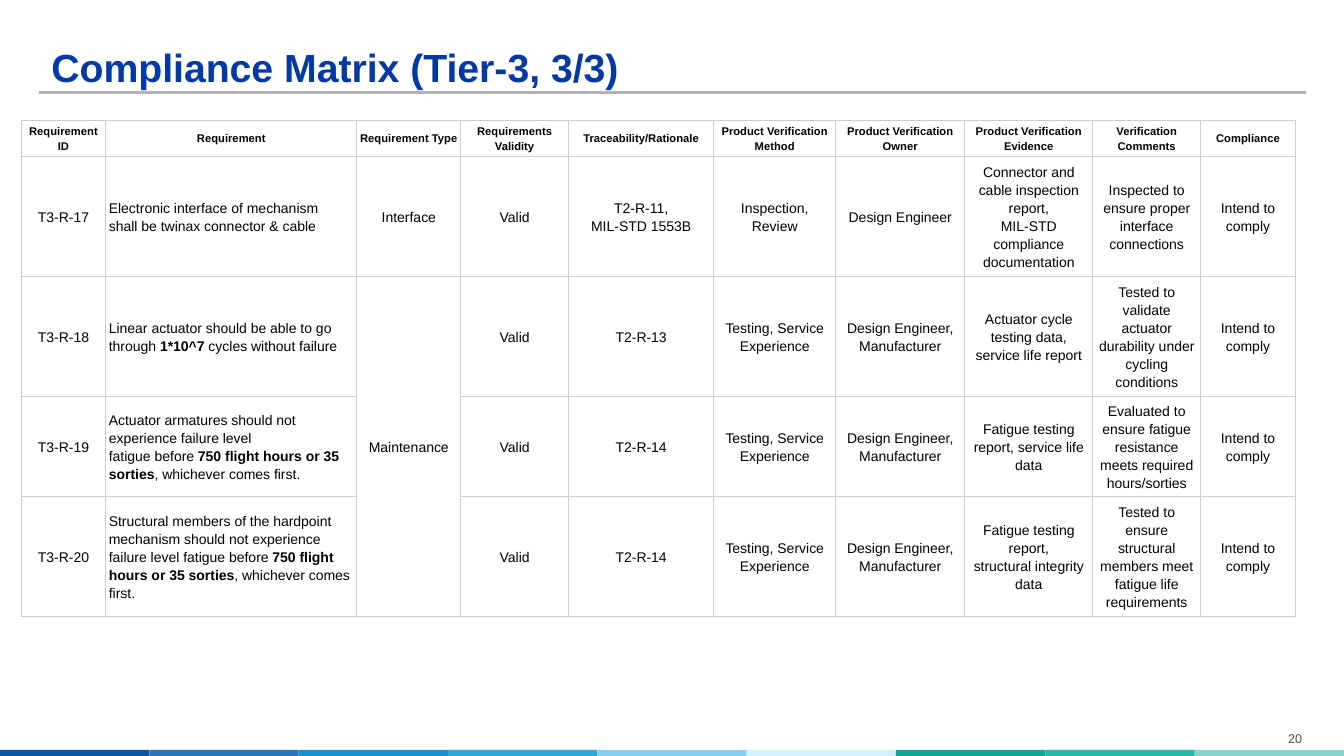
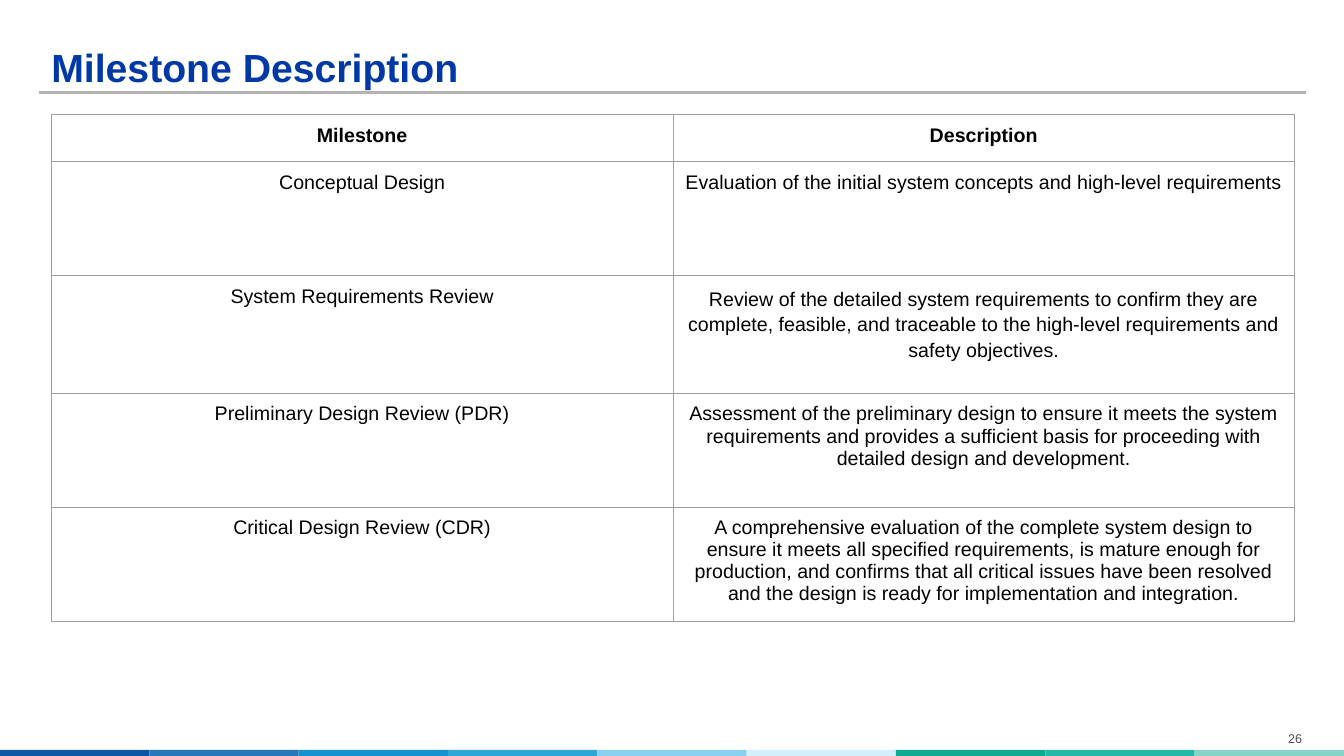
from lxml import etree
from pptx import Presentation
from pptx.dml.color import RGBColor as RGB
from pptx.enum.shapes import MSO_CONNECTOR as CONN, MSO_SHAPE as SHAPE
from pptx.enum.text import MSO_ANCHOR as ANCHOR, PP_ALIGN as ALIGN
from pptx.oxml.ns import qn
from pptx.util import Inches, Pt

WIDE, HIGH = 13.33, 7.5
FONT = "Arial"
HUES = {
    "title": "0039A6", "rule": "B2B2B2", "text": "000000", "number": "4F4F4F",
    "light": "CCCCCC", "mid": "9E9E9E",
}
BAND = ["0B57A5", "2777BB", "1592D0", "2EA7D8", "87D0F0",
        "D2EFFB", "0EAB92", "24B9A6", "86D3C7"]

MATRIX = [
    ["Requirement ID", "Requirement", "Requirement Type", "Requirements Validity",
     "Traceability/Rationale", "Product Verification Method",
     "Product Verification Owner", "Product Verification Evidence",
     "Verification Comments", "Compliance"],
    ["T3-R-17",
     "Electronic interface of mechanism\nshall be twinax connector & cable",
     "Interface", "Valid", "T2-R-11,\nMIL-STD 1553B", "Inspection, Review",
     "Design Engineer",
     "Connector and cable inspection report,\nMIL-STD compliance documentation",
     "Inspected to ensure proper\ninterface connections", "Intend to comply"],
    ["T3-R-18",
     "Linear actuator should be able to go through **1*10^7** cycles without failure",
     "Maintenance", "Valid", "T2-R-13", "Testing, Service Experience",
     "Design Engineer, Manufacturer",
     "Actuator cycle testing data,\nservice life report",
     "Tested to validate actuator\ndurability under cycling\nconditions",
     "Intend to comply"],
    ["T3-R-19",
     "Actuator armatures should not experience failure level\n"
     "fatigue before **750 flight hours or 35 sorties**, whichever comes first.",
     "", "Valid", "T2-R-14", "Testing, Service Experience",
     "Design Engineer, Manufacturer", "Fatigue testing report, service life data",
     "Evaluated to ensure fatigue\nresistance meets required\nhours/sorties",
     "Intend to comply"],
    ["T3-R-20",
     "Structural members of the hardpoint mechanism should not experience failure "
     "level fatigue before **750 flight hours or 35 sorties**, whichever comes first.",
     "", "Valid", "T2-R-14", "Testing, Service Experience",
     "Design Engineer, Manufacturer",
     "Fatigue testing report,\nstructural integrity data",
     "Tested to ensure structural\nmembers meet fatigue life requirements",
     "Intend to comply"],
]

STONES = [
    ["Milestone", "Description"],
    ["Conceptual Design",
     "Evaluation of the initial system concepts and high-level requirements"],
    ["System Requirements Review",
     "Review of the detailed system requirements to confirm they are complete, "
     "feasible, and traceable to the high-level requirements and safety objectives."],
    ["Preliminary Design Review (PDR)",
     "Assessment of the preliminary design to ensure it meets the system requirements "
     "and provides a sufficient basis for proceeding with detailed design and "
     "development."],
    ["Critical Design Review (CDR)",
     "A comprehensive evaluation of the complete system design to ensure it meets all "
     "specified requirements, is mature enough for production, and confirms that all "
     "critical issues have been resolved and the design is ready for implementation "
     "and integration."],
]


def write(frame, text, size=10, hue="text", bold=False, align=ALIGN.CENTER, lead=1.0):
    """Fill a text frame: a newline starts a paragraph, ** marks bold words."""
    frame.word_wrap = True
    for i, line in enumerate(text.split("\n")):
        para = frame.add_paragraph() if i else frame.paragraphs[0]
        para.alignment, para.line_spacing = align, lead
        for j, part in enumerate(line.split("**")):
            if not part:
                continue
            run = para.add_run()
            run.text = part
            font = run.font
            font.name, font.size = FONT, Pt(size)
            font.bold = bold or j % 2 == 1
            font.color.rgb = RGB.from_string(HUES[hue])


def pad(area, side, top):
    area.margin_left = area.margin_right = Inches(side)
    area.margin_top = area.margin_bottom = Inches(top)


def label(slide, box, text, inset=(0, 0), anchor=ANCHOR.TOP, **style):
    frame = slide.shapes.add_textbox(*map(Inches, box)).text_frame
    pad(frame, *inset)
    frame.vertical_anchor = anchor
    write(frame, text, **style)


def band(slide, box):
    left, top, wide, high = box
    step = wide / len(BAND)
    for i, hue in enumerate(BAND):
        tile = slide.shapes.add_shape(
            SHAPE.RECTANGLE, *map(Inches, (left + i * step, top, step, high)))
        tile.shadow.inherit = False
        tile.fill.solid()
        tile.fill.fore_color.rgb = RGB.from_string(hue)
        tile.line.fill.background()


def rule(slide, left, right, y):
    line = slide.shapes.add_connector(
        CONN.STRAIGHT, Inches(left), Inches(y), Inches(right), Inches(y))
    line.line.color.rgb = RGB.from_string(HUES["rule"])
    line.line.width = Pt(2.25)
    etree.SubElement(line._element.spPr, qn("a:effectLst"))


def base(deck, title, number):
    """Add a slide with the shared band, rule, title and page number."""
    slide = deck.slides.add_slide(deck.slide_layouts[6])
    band(slide, (0, HIGH - 0.06, WIDE, 0.06))
    rule(slide, 0.39, WIDE - 0.38, 0.92)
    label(slide, (0.51, 0.2, 12.33, 0.7), title, anchor=ANCHOR.BOTTOM, size=28,
          hue="title", bold=True, align=ALIGN.LEFT, lead=0.9)
    label(slide, (12.43, 7.2, 0.83, 0.25), str(number), inset=(0.1, 0.05),
          size=9, hue="number")
    return slide


def edge(cell, hue):
    props = cell._tc.get_or_add_tcPr()
    for side in ("lnL", "lnR", "lnT", "lnB"):
        line = etree.SubElement(props, qn(f"a:{side}"), w=str(Pt(0.75)))
        fill = etree.SubElement(line, qn("a:solidFill"))
        etree.SubElement(fill, qn("a:srgbClr"), val=HUES[hue])


def table(slide, box, data, cols, rows, style, line, inset,
          anchor=ANCHOR.TOP, merge=None):
    """Fit a table to the box; style(row, col) gives the text format of a cell."""
    wide, high = box[2:]
    grid = slide.shapes.add_table(len(rows), len(cols), *map(Inches, box)).table
    grid.first_row = grid.horz_banding = False
    for col, share in zip(grid.columns, cols):
        col.width = Inches(wide * share / sum(cols))
    for row, share in zip(grid.rows, rows):
        row.height = Inches(high * share / sum(rows))
    if merge:
        first, last = merge
        grid.cell(*first).merge(grid.cell(*last))
    for r, texts in enumerate(data):
        for c, text in enumerate(texts):
            cell = grid.cell(r, c)
            if not cell.is_spanned:
                edge(cell, line)
                pad(cell, *inset)
                cell.vertical_anchor = anchor
                write(cell.text_frame, text, **style(r, c))
            cell.fill.background()


def matrix(deck):
    def style(r, c):
        return dict(size=10 if r else 8, bold=r == 0, lead=1.15,
                    align=ALIGN.LEFT if r and c == 1 else ALIGN.CENTER)

    slide = base(deck, "Compliance Matrix (Tier-3, 3/3)", 20)
    table(slide, (0.21, 1.19, 12.64, 4.63), MATRIX,
          cols=[0.84, 2.49, 1.03, 1.07, 1.44, 1.21, 1.28, 1.27, 1.07, 0.94],
          rows=[0.36, 1.12, 1.11, 0.93, 1.11], style=style, line="light",
          inset=(0.03, 0.02), anchor=ANCHOR.MIDDLE, merge=((2, 2), (4, 2)))


def stones(deck):
    def style(r, c):
        return dict(size=14, bold=r == 0, lead=1.15 if (r, c) == (2, 1) else 1.0)

    slide = base(deck, "Milestone Description", 26)
    table(slide, (0.51, 1.14, 12.33, 5.03), STONES, cols=[1, 1],
          rows=[0.46, 1.13, 1.17, 1.13, 1.14], style=style, line="mid",
          inset=(0.1, 0.1))


def main():
    deck = Presentation()
    deck.slide_width, deck.slide_height = Inches(WIDE), Inches(HIGH)
    matrix(deck)
    stones(deck)
    deck.save("out.pptx")


if __name__ == "__main__":
    main()
